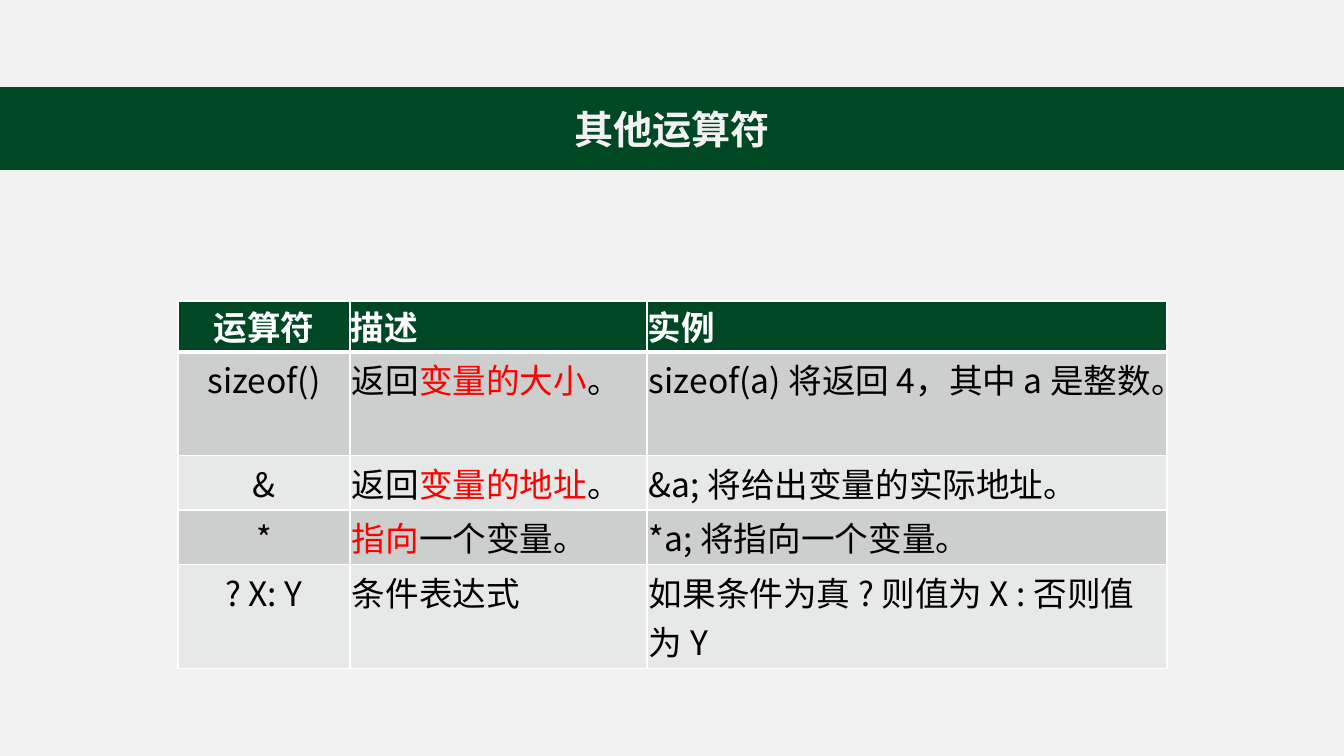
"""Build a slide with a table of miscellaneous C operators."""
from lxml.etree import SubElement
from pptx import Presentation
from pptx.dml.color import RGBColor
from pptx.enum.shapes import MSO_SHAPE as Shape
from pptx.enum.text import MSO_ANCHOR as Anchor, PP_ALIGN as Align
from pptx.oxml import parse_xml
from pptx.oxml.ns import nsdecls, qn
from pptx.util import Emu, Pt

TITLE = "其他运算符"
HEADER = ["运算符", "描述", "实例"]
ROWS = [
    ["sizeof()", ["返回", ("变量的大小", "red"), "。"], "sizeof(a) 将返回 4，其中 a 是整数。"],
    ["&", ["返回", ("变量的地址", "red"), "。"], "&a; 将给出变量的实际地址。"],
    ["*", [("指向", "red"), "一个变量。"], "*a; 将指向一个变量。"],
    ["? X: Y", "条件表达式", "如果条件为真 ? 则值为 X : 否则值为 Y"],
]
COLORS = {"page": "F2F2F2", "green": "004723", "white": "FFFFFF", "black": "000000",
          "red": "FF0000", "dark_band": "CCCFCD", "light_band": "E7E9E8"}
FONT = "Noto Sans CJK SC"
SCALE = 914400 / 100.8
PAGE_SIZE = (1344, 756)
BACKDROP = (0, 0, 1344, 756)
TOP_STRIP = (0, 0, 1344, 88)
BANNER = (0, 88, 1344, 81)
TABLE_LEFT, TABLE_TOP, ROW_HEIGHT = 178, 301, 41
COLUMN_WIDTHS = [172, 297, 520]
HEADER_MARGINS = {"margin_left": 1, "margin_right": 1, "margin_top": 1, "margin_bottom": 1}
BODY_MARGINS = {"margin_left": 2, "margin_right": 2, "margin_top": 3, "margin_bottom": 3}


def px(length):
    return Emu(round(length * SCALE))


def paint(fill, color):
    fill.solid()
    fill.fore_color.rgb = RGBColor.from_string(COLORS[color])


def write(para, content, color, align, size, bold):
    para.alignment = align
    for part in [content] if isinstance(content, str) else content:
        text, shade = (part, color) if isinstance(part, str) else part
        span = para.add_run()
        span.text = text
        paint(span.font.fill, shade)
        for name, value in {"size": Pt(size), "bold": bold, "name": FONT}.items():
            setattr(span.font, name, value)
        SubElement(span.font._element, qn("a:ea"), typeface=FONT)


def add_borders(cell, widths):
    properties = cell._tc.get_or_add_tcPr()
    for index, (side, width) in enumerate(widths.items()):
        properties.insert(index, parse_xml(
            f'<a:ln{side} {nsdecls("a")} w="{Pt(width)}"><a:solidFill>'
            f'<a:srgbClr val="{COLORS["white"]}"/></a:solidFill></a:ln{side}>'))


def add_panel(page, place, color):
    panel = page.shapes.add_shape(Shape.RECTANGLE, *map(px, place))
    panel.shadow.inherit = False
    paint(panel.fill, color)
    panel.line.fill.background()
    return panel


def add_banner(page):
    banner = add_panel(page, BANNER, "green")
    paint(banner.line.fill, "green")
    banner.line.width = Pt(1)
    banner.text_frame.vertical_anchor = Anchor.MIDDLE
    write(banner.text_frame.paragraphs[0], TITLE, "page", Align.CENTER, 28, True)


def add_operator_table(page):
    rows = [HEADER, *ROWS]
    frame = page.shapes.add_table(
        len(rows), len(HEADER), px(TABLE_LEFT), px(TABLE_TOP),
        px(sum(COLUMN_WIDTHS)), px(ROW_HEIGHT * len(rows)))
    table = frame.table
    for column, width in zip(table.columns, COLUMN_WIDTHS):
        column.width = px(width)
    for r, row in enumerate(rows):
        table.rows[r].height = px(ROW_HEIGHT)
        heading = r == 0
        band = "green" if heading else "dark_band" if r % 2 else "light_band"
        for c, content in enumerate(row):
            cell = table.cell(r, c)
            paint(cell.fill, band)
            add_borders(cell, {"L": 1, "R": 1, "T": 3 if r == 1 else 1, "B": 3 if heading else 1})
            for name, value in (HEADER_MARGINS if heading else BODY_MARGINS).items():
                setattr(cell, name, px(value))
            write(cell.text_frame.paragraphs[0], content, "white" if heading else "black",
                  Align.LEFT if c else Align.CENTER, 24, heading)


def main():
    deck = Presentation()
    deck.slide_width, deck.slide_height = map(px, PAGE_SIZE)
    page = deck.slides.add_slide(deck.slide_layouts[6])
    for place in (BACKDROP, TOP_STRIP):
        add_panel(page, place, "page")
    add_banner(page)
    add_operator_table(page)
    deck.save("out.pptx")


if __name__ == "__main__":
    main()
